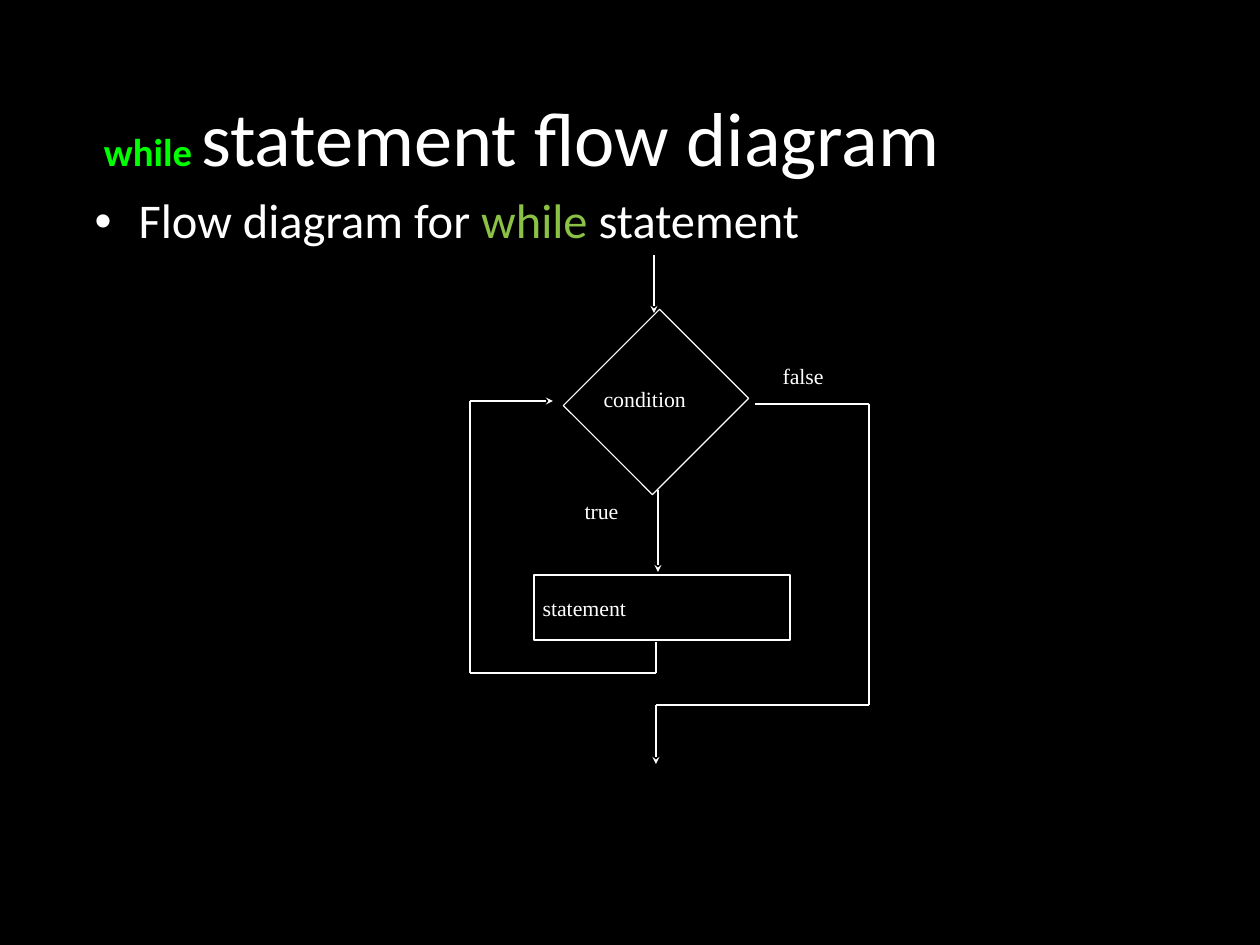
"""Build a slide with the flow diagram of a while statement."""
from itertools import pairwise

from lxml import etree
from pptx import Presentation
from pptx import util as u
from pptx.dml.color import RGBColor
from pptx.enum import shapes, text
from pptx.oxml import ns

EMU_PER_PX = 10479
BLACK = RGBColor(0x00, 0x00, 0x00)
WHITE = RGBColor(0xFF, 0xFF, 0xFF)
GREEN = RGBColor(0x00, 0xFF, 0x00)
OLIVE = RGBColor(0x8B, 0xC1, 0x45)
HEADING_FONT = "Calibri"
DIAGRAM_FONT = "Times New Roman"


def px(*lengths):
    return [u.Emu(length * EMU_PER_PX) for length in lengths]


def add_run(paragraph, content, size=18, font=DIAGRAM_FONT, color=WHITE, bold=False):
    run = paragraph.add_run()
    run.text = content
    run.font.size = u.Pt(size)
    run.font.name = font
    run.font.bold = bold
    run.font.color.rgb = color


def add_title(slide):
    title = slide.shapes.title
    title.left, title.top, title.width, title.height = px(86, 51, 1086, 182)
    frame = title.text_frame
    frame.auto_size = text.MSO_AUTO_SIZE.NONE
    frame.vertical_anchor = text.MSO_ANCHOR.MIDDLE
    frame.margin_left = px(18)[0]
    paragraph = frame.paragraphs[0]
    paragraph.alignment = text.PP_ALIGN.LEFT
    paragraph.line_spacing = 0.9
    add_run(paragraph, "while ", size=32, font=HEADING_FONT, color=GREEN, bold=True)
    add_run(paragraph, "statement flow diagram", size=63, font=HEADING_FONT)


def add_bullet(paragraph, color):
    properties = paragraph._p.get_or_add_pPr()
    indent = px(44)[0]
    properties.set("marL", str(indent))
    properties.set("indent", str(-indent))
    bullet_color = etree.SubElement(properties, ns.qn("a:buClr"))
    etree.SubElement(bullet_color, ns.qn("a:srgbClr"), val=str(color))
    etree.SubElement(properties, ns.qn("a:buFont"), typeface="Arial")
    etree.SubElement(properties, ns.qn("a:buChar"), char="•")


def add_text_box(slide, *box):
    frame = slide.shapes.add_textbox(*px(*box)).text_frame
    frame.word_wrap = True
    return frame


def add_body(slide):
    frame = add_text_box(slide, 86, 197, 1086, 53)
    frame.margin_top = frame.margin_bottom = 0
    paragraph = frame.paragraphs[0]
    paragraph.line_spacing = 0.9
    add_bullet(paragraph, WHITE)
    for content, color in (("Flow diagram for ", WHITE), ("while", OLIVE), (" statement", WHITE)):
        add_run(paragraph, content, size=40, font=HEADING_FONT, color=color)


def add_label(slide, content, *box):
    add_run(add_text_box(slide, *box).paragraphs[0], content)


def add_outline(slide, *box, rotation=0):
    shape = slide.shapes.add_shape(shapes.MSO_SHAPE.RECTANGLE, *px(*box))
    shape.shadow.inherit = False
    shape.fill.background()
    shape.line.color.rgb = WHITE
    shape.line.width = u.Pt(1)
    shape.rotation = rotation
    return shape


def add_arrow_path(slide, *points):
    for start, end in pairwise(points):
        connector = slide.shapes.add_connector(shapes.MSO_CONNECTOR.STRAIGHT, *px(*start, *end))
        connector.line.color.rgb = WHITE
        connector.line.width = u.Pt(1)
        etree.SubElement(connector._element.spPr, ns.qn("a:effectLst"))
    etree.SubElement(connector.line._get_or_add_ln(), ns.qn("a:tailEnd"), type="stealth")


def add_flow_diagram(slide):
    statement = add_outline(slide, 534, 575, 256, 65)
    statement.text_frame.vertical_anchor = text.MSO_ANCHOR.MIDDLE
    paragraph = statement.text_frame.paragraphs[0]
    paragraph.alignment = text.PP_ALIGN.LEFT
    add_run(paragraph, "statement")
    add_outline(slide, 593, 334, 126, 136, rotation=45)

    add_label(slide, "condition", 595, 381, 122, 35)
    add_label(slide, "false", 774, 358, 70, 35)
    add_label(slide, "true", 576, 493, 70, 35)

    add_arrow_path(slide, (654, 255), (654, 313))
    add_arrow_path(slide, (658, 490), (658, 572))
    add_arrow_path(slide, (656, 642), (656, 673), (470, 673), (470, 401), (553, 401))
    add_arrow_path(slide, (755, 404), (869, 404), (869, 705), (656, 705), (656, 764))


def main():
    presentation = Presentation()
    presentation.slide_width, presentation.slide_height = px(1260, 945)
    slide = presentation.slides.add_slide(presentation.slide_layouts.get_by_name("Title Only"))
    slide.background.fill.solid()
    slide.background.fill.fore_color.rgb = BLACK
    add_title(slide)
    add_body(slide)
    add_flow_diagram(slide)
    presentation.save("out.pptx")


if __name__ == "__main__":
    main()
